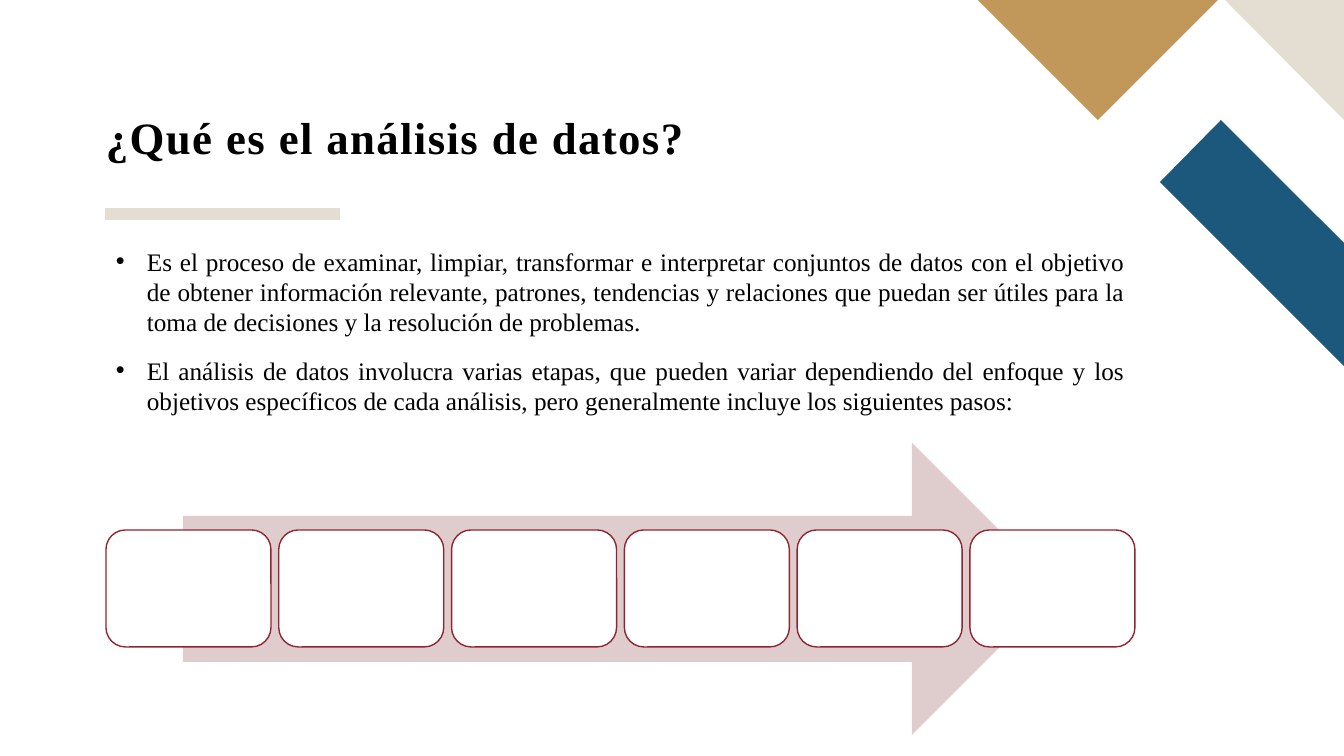
from lxml import etree
from pptx import Presentation
from pptx.dml.color import RGBColor
from pptx.enum.shapes import MSO_CONNECTOR, MSO_SHAPE
from pptx.enum.text import MSO_ANCHOR, PP_ALIGN
from pptx.oxml.ns import qn
from pptx.util import Pt

# Content
TITLE = "¿Qué es el análisis de datos?"
BULLETS = [  # top, height, text
    (241, 102, "Es el proceso de examinar, limpiar, transformar e interpretar "
     "conjuntos de datos con el objetivo de obtener información relevante, "
     "patrones, tendencias y relaciones que puedan ser útiles para la toma de "
     "decisiones y la resolución de problemas."),
    (350, 72, "El análisis de datos involucra varias etapas, que pueden variar "
     "dependiendo del enfoque y los objetivos específicos de cada análisis, "
     "pero generalmente incluye los siguientes pasos:"),
]
CORNER_PIECES = [
    ("1B587C", [(1344, 366), (1344, 243), (1221, 120), (1160, 182)]),
    ("E3DED1", [(1344, 120), (1344, 0), (1225, 0)]),
    ("C19859", [(978, 0), (1098, 120), (1218, 0)]),
]
STEPS = 6

# Layout in px
PX = 914400 / 100.8
LEFT, WIDTH = 106, 1029
INDENT = 31
STEP_TOP, STEP_W, STEP_H = 530, 165, 117
STEP_PITCH = (WIDTH - STEP_W) / (STEPS - 1)


def emu(*lengths):
    return [round(v * PX) for v in lengths]


def rgb(color):
    return RGBColor.from_string(color)


def paint(s, fill, line=None):
    s.shadow.inherit = False
    s.fill.solid()
    s.fill.fore_color.rgb = rgb(fill)
    if line:
        s.line.color.rgb = rgb(line)
        s.line.width = Pt(1)
    else:
        s.line.fill.background()


def add_text(text, box, frame, font):
    tf = shapes.add_textbox(*emu(*box)).text_frame
    for name, value in {"word_wrap": True, **frame}.items():
        setattr(tf, name, value)
    p = tf.paragraphs[0]
    p.alignment = PP_ALIGN.JUSTIFY
    r = p.add_run()
    r.text = text
    for name, value in {"name": "Times New Roman", **font}.items():
        setattr(r.font, name, value)
    r.font.color.rgb = rgb("000000")
    return p, r


prs = Presentation()
prs.slide_width, prs.slide_height = emu(1344, 756)
shapes = prs.slides.add_slide(prs.slide_layouts[6]).shapes

# Rule under the title
rule = shapes.add_connector(MSO_CONNECTOR.STRAIGHT, *emu(105, 214, 340, 214))
rule.line.color.rgb = rgb("E3DED1")
rule.line.width = Pt(8)
etree.SubElement(rule.element.spPr, qn("a:effectLst"))

# Corner decoration
for color, points in CORNER_PIECES:
    outline = shapes.build_freeform(*points[0], scale=PX)
    outline.add_line_segments(points[1:], close=True)
    paint(outline.convert_to_shape(), color)

# Title
no_margins = dict.fromkeys(
    ("margin_left", "margin_top", "margin_right", "margin_bottom"), 0)
p, r = add_text(TITLE, (LEFT, 97, WIDTH, 67),
                {"vertical_anchor": MSO_ANCHOR.BOTTOM, **no_margins},
                {"size": Pt(32), "bold": True})
p.line_spacing = 0.9
r.font._element.set("spc", "100")

# Bullets
for top, height, text in BULLETS:
    p, r = add_text(text, (LEFT, top, WIDTH, height), {}, {"size": Pt(18)})
    pPr = p._p.get_or_add_pPr()
    indent, = emu(INDENT)
    pPr.set("marL", str(indent))
    pPr.set("indent", str(-indent))
    etree.SubElement(pPr, qn("a:buFont"), typeface="Arial")
    etree.SubElement(pPr, qn("a:buChar"), char="•")

# Process arrow with its empty steps
arrow = shapes.add_shape(MSO_SHAPE.RIGHT_ARROW, *emu(183, 443, 875, 292))
paint(arrow, "DFCDCE")
for i in range(STEPS):
    box = emu(LEFT + i * STEP_PITCH, STEP_TOP, STEP_W, STEP_H)
    paint(shapes.add_shape(MSO_SHAPE.ROUNDED_RECTANGLE, *box), "FFFFFF", "902531")

prs.save("out.pptx")
